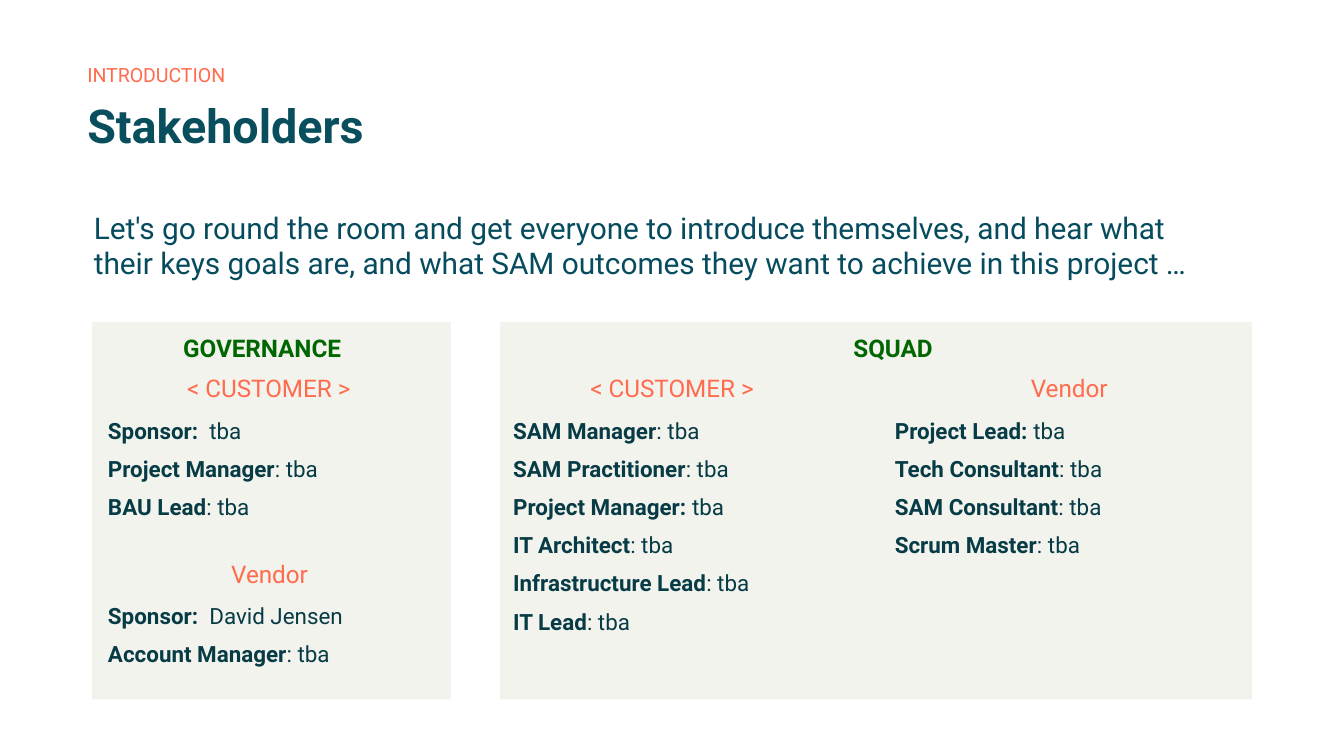
from dataclasses import dataclass

from pptx import Presentation
from pptx.dml.color import RGBColor
from pptx.enum import shapes, text
from pptx.util import Emu, Pt

PX = 4572
FONT = "Roboto"
CORAL, GREEN, TEAL, INK, PANEL = "FF6B4D", "006600", "094E5D", "073B45", "F3F3EE"
TIGHT = (10, 6)
ROOMY = (20, 10)


@dataclass(frozen=True)
class Box:
    left: int
    top: int
    width: int
    height: int

    def emu(self) -> list[Emu]:
        return [Emu(v * PX) for v in (self.left, self.top, self.width, self.height)]


@dataclass(frozen=True)
class Heading:
    label: str
    box: Box
    color: str = CORAL
    bold: bool = False


@dataclass(frozen=True)
class RoleList:
    box: Box
    roles: tuple[tuple[str, str], ...]


PANELS = (Box(744, 479, 1119, 562), Box(137, 479, 534, 562))

HEADINGS = (
    Heading("GOVERNANCE", Box(114, 488, 552, 62), GREEN, True),
    Heading("SQUAD", Box(1053, 488, 552, 62), GREEN, True),
    Heading("< CUSTOMER >", Box(133, 548, 534, 62)),
    Heading("< CUSTOMER >", Box(724, 548, 552, 62)),
    Heading("Vendor", Box(1330, 548, 522, 62)),
    Heading("Vendor", Box(136, 825, 530, 62)),
)

ROLE_LISTS = (
    RoleList(Box(141, 611, 524, 196), (
        ("Sponsor:", "  tba"),
        ("Project Manager", ": tba"),
        ("BAU Lead", ": tba"),
    )),
    RoleList(Box(141, 886, 530, 134), (
        ("Sponsor:", "  David Jensen"),
        ("Account Manager", ": tba"),
    )),
    RoleList(Box(744, 611, 552, 348), (
        ("SAM Manager", ": tba"),
        ("SAM Practitioner", ": tba"),
        ("Project Manager: ", "tba"),
        ("IT Architect", ": tba"),
        ("Infrastructure Lead", ": tba"),
        ("IT Lead", ": tba"),
    )),
    RoleList(Box(1312, 611, 540, 348), (
        ("Project Lead: ", "tba"),
        ("Tech Consultant", ": tba"),
        ("SAM Consultant", ": tba"),
        ("Scrum Master", ": tba"),
    )),
)


def rgb(value: str) -> RGBColor:
    return RGBColor.from_string(value)


def add_run(paragraph, words: str, *, size: float, color: str, bold: bool = False) -> None:
    run = paragraph.add_run()
    run.text = words
    run.font.name = FONT
    run.font.size = Pt(size)
    run.font.bold = bold
    run.font.color.rgb = rgb(color)


def set_frame(shape, inset: tuple[int, int], anchor):
    frame = shape.text_frame
    frame.word_wrap = True
    frame.auto_size = text.MSO_AUTO_SIZE.NONE
    frame.vertical_anchor = anchor
    frame.margin_left = frame.margin_right = Emu(inset[0] * PX)
    frame.margin_top = frame.margin_bottom = Emu(inset[1] * PX)
    return frame


def write(shape, words: str, *, size: float, color: str, bold: bool = False,
          align=text.PP_ALIGN.LEFT, anchor=text.MSO_ANCHOR.TOP,
          inset: tuple[int, int] = ROOMY, line: float = 0.97) -> None:
    paragraph = set_frame(shape, inset, anchor).paragraphs[0]
    paragraph.alignment = align
    paragraph.line_spacing = line
    add_run(paragraph, words, size=size, color=color, bold=bold)


def add_panel(slide, box: Box) -> None:
    shape = slide.shapes.add_shape(shapes.MSO_SHAPE.RECTANGLE, *box.emu())
    shape.shadow.inherit = False
    shape.fill.solid()
    shape.fill.fore_color.rgb = rgb(PANEL)
    shape.line.fill.background()


def add_heading(slide, heading: Heading) -> None:
    write(slide.shapes.add_textbox(*heading.box.emu()), heading.label, size=13,
          color=heading.color, bold=heading.bold, align=text.PP_ALIGN.CENTER)


def add_role_list(slide, role_list: RoleList) -> None:
    shape = slide.shapes.add_textbox(*role_list.box.emu())
    frame = set_frame(shape, ROOMY, text.MSO_ANCHOR.TOP)
    for index, (role, person) in enumerate(role_list.roles):
        paragraph = frame.add_paragraph() if index else frame.paragraphs[0]
        paragraph.space_before = Pt(6)
        add_run(paragraph, role, size=12, color=INK, bold=True)
        add_run(paragraph, person, size=12, color=INK)


def main() -> None:
    presentation = Presentation()
    presentation.slide_width, presentation.slide_height = Emu(2000 * PX), Emu(1125 * PX)
    slide = presentation.slides.add_slide(presentation.slide_layouts[5])

    title = slide.shapes.title
    title.left, title.top, title.width, title.height = Box(120, 138, 1732, 104).emu()
    write(title, "Stakeholders", size=25, color=TEAL, bold=True, inset=TIGHT, line=1.0)

    for panel in PANELS:
        add_panel(slide, panel)

    write(slide.shapes.add_textbox(*Box(120, 74, 1732, 62).emu()), "INTRODUCTION",
          size=10.5, color=CORAL, anchor=text.MSO_ANCHOR.BOTTOM, inset=TIGHT)
    write(slide.shapes.add_textbox(*Box(120, 305, 1732, 148).emu()),
          "Let's go round the room and get everyone to introduce themselves, and hear "
          "what their keys goals are, and what SAM outcomes they want to achieve in "
          "this project …", size=16, color="064C5E")

    for heading in HEADINGS:
        add_heading(slide, heading)
    for role_list in ROLE_LISTS:
        add_role_list(slide, role_list)

    presentation.save("out.pptx")


if __name__ == "__main__":
    main()
